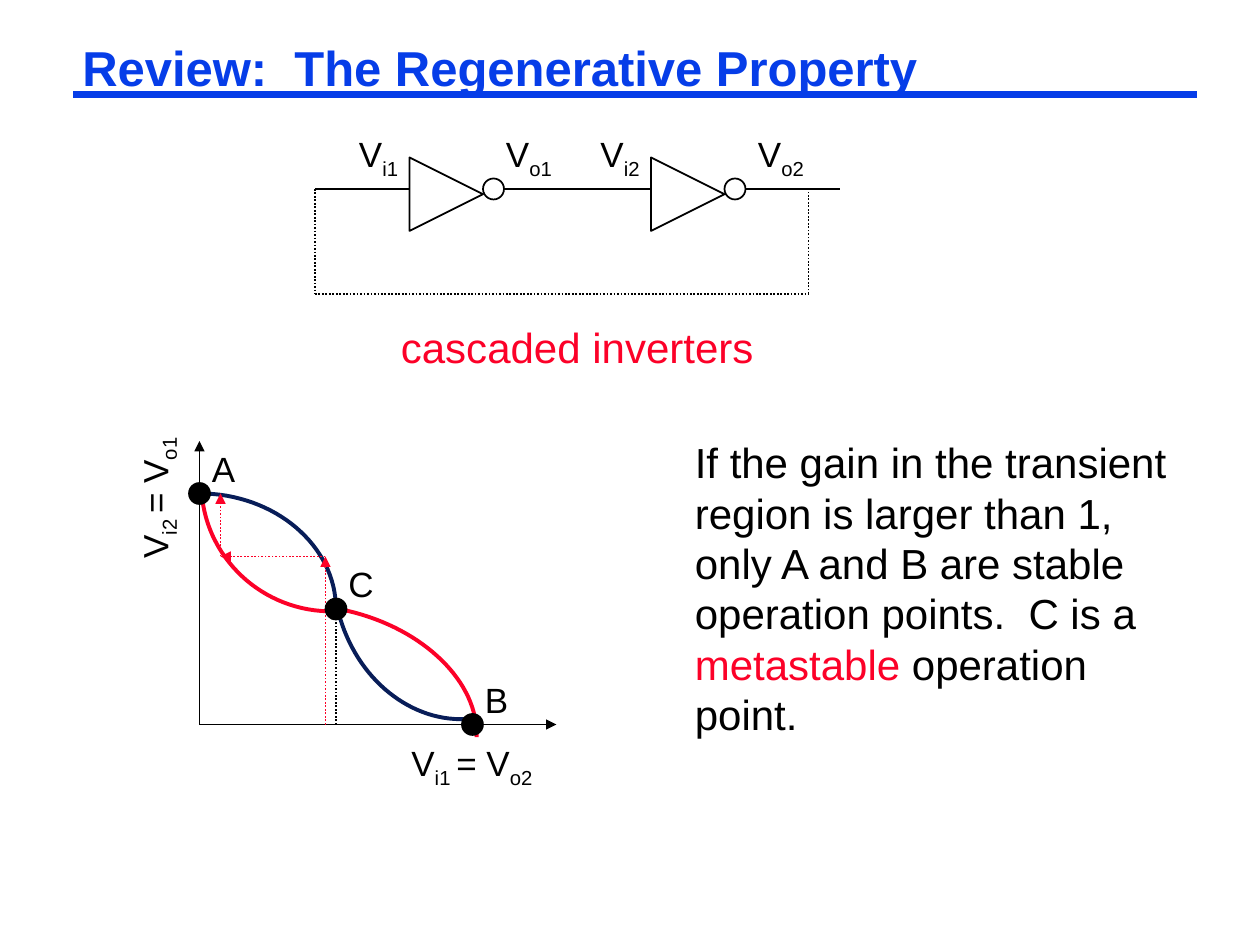
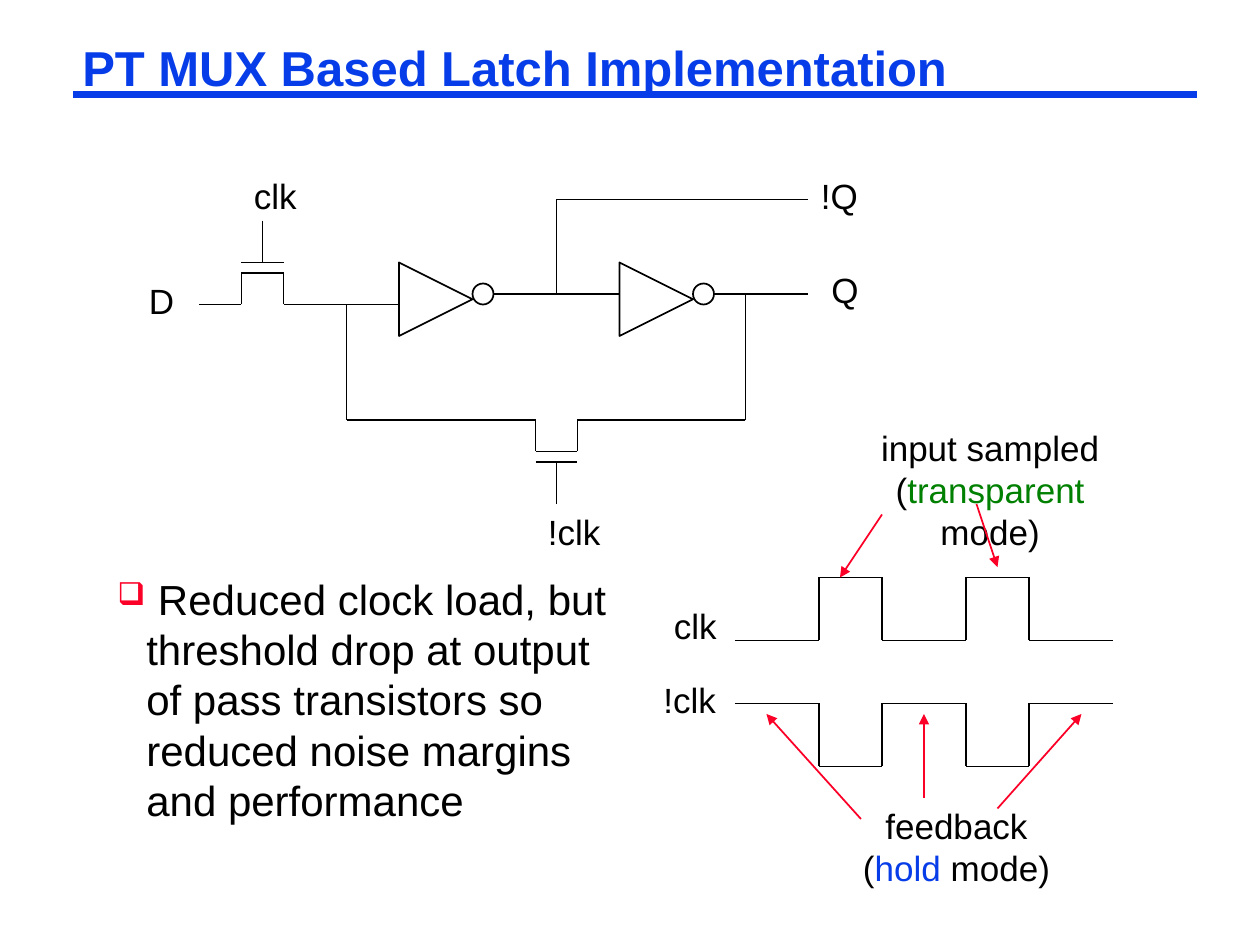
from dataclasses import dataclass
from itertools import pairwise

import lxml.etree
import pptx
import pptx.dml.color
import pptx.enum.dml
import pptx.enum.shapes
import pptx.enum.text
import pptx.oxml.ns
import pptx.util

WIDTH, HEIGHT = pptx.util.Inches(10), pptx.util.Inches(7.5)
COLS, ROWS = 120, 90
FONT = "Arial"
BLACK, BLUE, RED, NAVY, GREEN = "000000", "063DE8", "FC0128", "081D58", "008000"
SHAPE = pptx.enum.shapes.MSO_SHAPE
ALIGN = pptx.enum.text.PP_ALIGN


def color(value):
    return pptx.dml.color.RGBColor.from_string(value)


def add_xml(parent, tag, **attrs):
    return lxml.etree.SubElement(parent, pptx.oxml.ns.qn(tag), attrs)


def format_font(font, size, fill=BLACK, bold=False):
    values = {"name": FONT, "size": pptx.util.Pt(size), "bold": bold}
    for name, value in values.items():
        setattr(font, name, value)
    font.color.rgb = color(fill)


def write_runs(p, runs, size, align):
    p.alignment = align
    for text, fill, subscript in runs:
        r = p.add_run()
        r.text = text
        format_font(r.font, size, fill)
        if subscript:
            r._r.get_or_add_rPr().set("baseline", "-25000")


def plain(text, fill=BLACK):
    return (text, fill, False)


def voltage(index, prefix=""):
    return [plain(prefix + "V"), (index, BLACK, True)]


@dataclass
class Region:
    s: object
    left: float
    top: float

    def x(self, col):
        return round((self.left + col) * WIDTH / COLS)

    def y(self, row):
        return round((self.top + row) * HEIGHT / ROWS)

    def box(self, col, row, cols, rows):
        return (self.x(col), self.y(row),
                round(cols * WIDTH / COLS), round(rows * HEIGHT / ROWS))

    def line(self, start, end, fill=BLACK, weight=1, dotted=False, arrow=False):
        c = self.s.shapes.add_connector(
            pptx.enum.shapes.MSO_CONNECTOR.STRAIGHT,
            self.x(start[0]), self.y(start[1]), self.x(end[0]), self.y(end[1]))
        c.line.color.rgb = color(fill)
        c.line.width = pptx.util.Pt(weight)
        if dotted:
            c.line.dash_style = pptx.enum.dml.MSO_LINE.ROUND_DOT
        if arrow:
            add_xml(c.line._get_or_add_ln(), "a:tailEnd", type="triangle")
        add_xml(c._element.spPr, "a:effectLst")

    def polyline(self, *points, **style):
        for start, end in pairwise(points):
            self.line(start, end, **style)

    def text(self, col, row, cols, rows, *paragraphs,
             size=20, wrap=False, align=ALIGN.LEFT):
        sp = self.s.shapes.add_textbox(*self.box(col, row, cols, rows))
        tf = sp.text_frame
        tf.word_wrap = wrap
        for i, runs in enumerate(paragraphs):
            p = tf.add_paragraph() if i else tf.paragraphs[0]
            write_runs(p, runs, size, align)
        return sp

    def label(self, col, row, cols, text):
        self.text(col, row, cols, 5.2, [plain(text)])

    def outline(self, kind, box, fill=None, rotation=0):
        sp = self.s.shapes.add_shape(kind, *self.box(*box))
        sp.shadow.inherit = False
        sp.rotation = rotation
        if fill:
            sp.fill.solid()
            sp.fill.fore_color.rgb = color(fill)
        else:
            sp.fill.background()
        sp.line.color.rgb = color(BLACK)
        sp.line.width = pptx.util.Pt(1)

    def dot(self, col, row):
        self.outline(SHAPE.OVAL, (col - 1, row - 1, 2, 2), BLACK)

    def inverter(self, col, row):
        self.outline(SHAPE.ISOSCELES_TRIANGLE, (col, row, 7, 7), rotation=90)
        self.outline(SHAPE.OVAL, (col + 7, row + 2, 2, 2))

    def transistor(self, col, row, up):
        def at(dx, dy):
            return col + dx, row - dy * up
        self.polyline(at(0, 0), at(4, 0), at(4, 3), at(8, 3), at(8, 0), at(12, 0))
        self.line(at(4, 4), at(8, 4))
        self.line(at(6, 8), at(6, 4))

    def curve(self, fill, bezier, lead=(), steps=32):
        points = list(lead)
        for i in range(steps + 1):
            t = i / steps
            weights = ((1 - t) ** 3, 3 * t * (1 - t) ** 2, 3 * t * t * (1 - t), t ** 3)
            points.append(tuple(sum(w * pt[axis] for w, pt in zip(weights, bezier))
                                for axis in (0, 1)))
        points = [(self.x(col), self.y(row)) for col, row in points]
        builder = self.s.shapes.build_freeform(*points[0])
        builder.add_line_segments(points[1:], close=False)
        sp = builder.convert_to_shape()
        sp.shadow.inherit = False
        sp.fill.background()
        sp.line.color.rgb = color(fill)
        sp.line.width = pptx.util.Pt(2.25)


def add_titled_slide(prs, title):
    s = prs.slides.add_slide(prs.slide_layouts[5])
    page = Region(s, 0, 0)
    page.line((7, 9), (114, 9), BLUE, 4.5)
    sp = s.shapes.title
    sp.left, sp.top, sp.width, sp.height = page.box(7, 4, 107, 5.5)
    tf = sp.text_frame
    values = {"margin_left": pptx.util.Inches(0.07),
              "margin_right": pptx.util.Inches(0.07),
              "margin_top": pptx.util.Inches(0.03),
              "margin_bottom": pptx.util.Inches(0.03),
              "word_wrap": True,
              "auto_size": pptx.enum.text.MSO_AUTO_SIZE.NONE,
              "vertical_anchor": pptx.enum.text.MSO_ANCHOR.TOP}
    for name, value in values.items():
        setattr(tf, name, value)
    p = tf.paragraphs[0]
    p.alignment = ALIGN.LEFT
    p.line_spacing = 0.87
    r = p.add_run()
    r.text = title
    format_font(r.font, 28, BLUE, True)
    return s


def draw_cascade(s, left, top):
    area = Region(s, left, top)
    for col in (9, 32):
        area.inverter(col, 3)
    for start, end in ((0, 9), (18, 32), (41, 50)):
        area.line((start, 6), (end, 6))
    area.polyline((0, 6), (0, 16), (47, 16), (47, 6), dotted=True)
    for col, cols, index in ((3, 6.4, "i1"), (17, 7.1, "o1"),
                             (26, 6.4, "i2"), (41, 7.1, "o2")):
        area.text(col, 0, cols, 5.2, voltage(index))
    area.text(7, 18, 36, 6, [plain("cascaded inverters", RED)], size=24)


def draw_transfer_plot(s, left, top):
    area = Region(s, left, top)
    for end in ((0, 0), (34, 27)):
        area.line((0, 27), end, arrow=True)
    area.curve(NAVY, [(0, 5), (7.2, 5), (13, 10), (13, 16)])
    area.curve(NAVY, [(13.4, 16.9), (15.3, 23.2), (20.8, 27.2), (26.3, 26.4)],
               lead=[(13, 15.5)])
    area.curve(RED, [(0.2, 4.9), (0.7, 11.6), (6.6, 16.7), (13.5, 16.2)])
    area.curve(RED, [(14.2, 16.2), (21.4, 17.9), (26.6, 23), (26.4, 28.2)],
               lead=[(12.4, 15.8)])
    area.line((13, 27), (13, 16), dotted=True, arrow=True)
    area.polyline((12, 27), (12, 11), (2, 11), (2, 5),
                  fill=RED, dotted=True, arrow=True)
    for name, dot, corner in (("A", (0, 5), (0, 0)), ("B", (26, 27), (26, 22)),
                              ("C", (13, 16), (13, 11))):
        area.dot(*dot)
        area.label(*corner, 4.7, name)
    area.text(19, 28, 14.4, 5.2, voltage("i1 ") + voltage("o2", "= "))
    axis = area.text(-11.5, 2.6, 14.4, 5.2, voltage("i2 ") + voltage("o1", "= "))
    axis.rotation = 270


def draw_latch(s, left, top):
    area = Region(s, left, top)
    for col in (25, 46):
        area.inverter(col, 9)
    area.transistor(6, 13, 1)
    area.transistor(34, 24, -1)
    area.line((17, 13), (25, 13))
    area.line((34, 12), (46, 12))
    area.line((55, 12), (64, 12))
    area.polyline((40, 12), (40, 3), (64, 3))
    area.polyline((58, 12), (58, 24), (46, 24))
    area.polyline((20, 13), (20, 24), (34, 24))
    for label in ((0, 10, 4.8, "D"), (10, 0, 6.5, "clk"), (38, 32, 7.4, "!clk"),
                  (64, 0, 5.9, "!Q"), (65, 9, 5, "Q")):
        area.label(*label)


def draw_timing(s, left, top):
    area = Region(s, left, top)
    edges = (8, 16, 22, 30, 36, 44)
    for name, col, cols, label_row, base, pulse in (
            ("clk", 1, 6.5, 17, 21, 15), ("!clk", 0, 7.4, 24, 27, 33)):
        area.label(col, label_row, cols, name)
        points = []
        for i, (start, end) in enumerate(pairwise(edges)):
            level = pulse if i % 2 else base
            points += [(start, level), (end, level)]
        area.polyline(*points)
    for col, row, cols, heading, mode, fill in (
            (17, 0, 30.6, "input sampled", "transparent", GREEN),
            (19, 36, 20.2, "feedback", "hold", BLUE)):
        area.text(col, row, cols, 9.2, [plain(heading)],
                  [plain("("), plain(mode, fill), plain(" mode)")],
                  wrap=True, align=ALIGN.CENTER)
    for start, end in (((22, 9), (18, 15)), ((31, 8), (33, 14)),
                       ((26, 36), (26, 28)), ((33, 37), (41, 28)),
                       ((20, 38), (11, 28))):
        area.line(start, end, RED, arrow=True)


def add_bullet(p, indent):
    pPr = p._p.get_or_add_pPr()
    pPr.set("marL", str(indent))
    pPr.set("indent", str(-indent))
    add_xml(add_xml(pPr, "a:buClr"), "a:srgbClr", val=RED)
    add_xml(pPr, "a:buSzPct", val="75000")
    add_xml(pPr, "a:buChar", char="❑")


def build_regenerative_slide(prs):
    s = add_titled_slide(prs, "Review:  The Regenerative Property")
    draw_cascade(s, 30, 12)
    draw_transfer_plot(s, 19, 42)
    Region(s, 65, 41).text(0, 0, 49, 30, [
        plain("If the gain in the transient region is larger than 1, "
              "only A and B are stable operation points.  C is a "),
        plain("metastable", RED), plain(" operation point.")], size=24, wrap=True)


def build_latch_slide(prs):
    s = add_titled_slide(prs, "PT MUX Based Latch Implementation")
    draw_latch(s, 13, 16)
    draw_timing(s, 62, 40)
    note = Region(s, 10, 54).text(0, 0, 49, 25.2, [
        plain(" Reduced clock load, but threshold drop at output of pass "
              "transistors so reduced noise margins and performance")],
        size=24, wrap=True)
    add_bullet(note.text_frame.paragraphs[0], pptx.util.Inches(0.23))


def main():
    prs = pptx.Presentation()
    prs.slide_width, prs.slide_height = WIDTH, HEIGHT
    build_regenerative_slide(prs)
    build_latch_slide(prs)
    prs.save("out.pptx")


if __name__ == "__main__":
    main()
